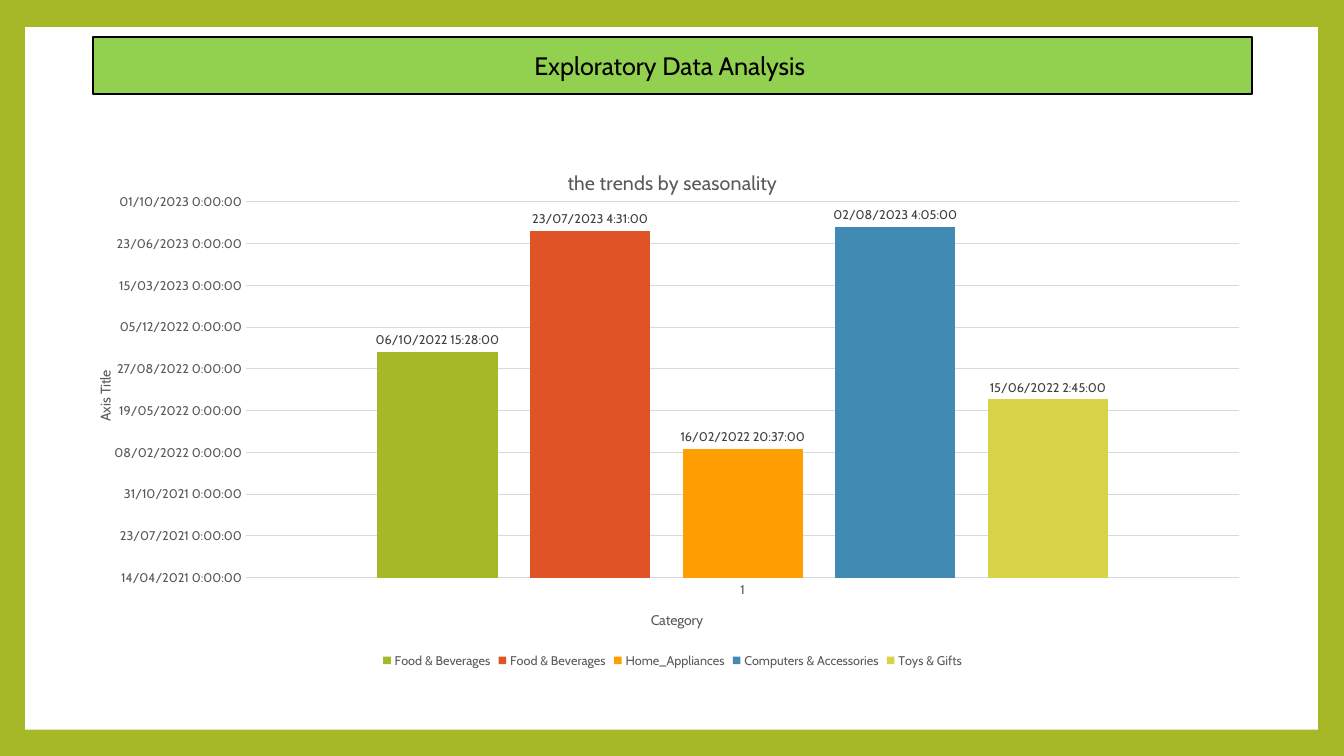
from pptx import Presentation
from pptx.chart.data import CategoryChartData
from pptx.dml.color import RGBColor
from pptx.enum import chart as ch, shapes, text
from pptx.oxml import parse_xml
from pptx.oxml.ns import nsdecls
from pptx.util import Inches, Pt

DATE_FORMAT = r"dd/mm/yyyy\ h:mm:ss"

# name, colour, date serial number, hour, minute
CATEGORIES = [
    ("Food & Beverages", "A6B727", 44840, 15, 28),
    ("Food & Beverages", "DF5327", 45130, 4, 31),
    ("Home_Appliances", "FE9E00", 44608, 20, 37),
    ("Computers & Accessories", "418AB3", 45140, 4, 5),
    ("Toys & Gifts", "D7D447", 44727, 2, 45),
]


def colour(value):
    return RGBColor.from_string(value)


def paint(target, value):
    target.fill.solid()
    target.fill.fore_color.rgb = colour(value)


def stroke(line, value, width):
    line.color.rgb = colour(value)
    line.width = Pt(width)


def write(frame, words, **style):
    """Put one line of text in a frame; style holds font, size and color."""
    para = frame.paragraphs[0]
    para.alignment = text.PP_ALIGN.CENTER
    span = para.add_run()
    span.text = words
    set_font(span.font, **style)


def set_font(font, size, color, name="Cabin"):
    font.name, font.size, font.bold = name, Pt(size), False
    font.color.rgb = colour(color)


class Slide:
    grey = "595959"
    grid = "D9D9D9"

    def __init__(self, deck):
        self.page = deck.slides.add_slide(deck.slide_layouts[5])
        paint(self.page.background, "A6B727")

    def panel(self, left, top, width, height):
        box = self.page.shapes.add_shape(
            shapes.MSO_SHAPE.RECTANGLE, *map(Inches, (left, top, width, height)))
        box.shadow.inherit = False
        paint(box, "FFFFFF")
        box.line.fill.background()

    def title(self, words, left, top, width, height):
        """Format the title placeholder as a rounded banner in front."""
        box = self.page.shapes.title
        box.left, box.top, box.width, box.height = map(
            Inches, (left, top, width, height))
        box.element.spPr.append(parse_xml(
            f'<a:prstGeom {nsdecls("a")} prst="roundRect"><a:avLst/></a:prstGeom>'))
        paint(box, "92D050")
        stroke(box.line, "000000", 1.5)
        box.text_frame.vertical_anchor = text.MSO_ANCHOR.MIDDLE
        write(box.text_frame, words, size=18, color="000000")
        box.element.getparent().append(box.element)

    def column_chart(self, heading, left, top, width, height):
        data = CategoryChartData(number_format=DATE_FORMAT)
        data.categories = ["1"]
        for name, _, day, hour, minute in CATEGORIES:
            data.add_series(name, [day + hour / 24 + minute / 1440])
        chart = self.page.shapes.add_chart(
            ch.XL_CHART_TYPE.COLUMN_CLUSTERED,
            *map(Inches, (left, top, width, height)), data).chart
        set_font(chart.font, 10, "000000")
        write(chart.chart_title.text_frame, heading, size=14, color=self.grey)
        chart.chart_title.include_in_layout = False
        chart.has_legend = True
        chart.legend.position = ch.XL_LEGEND_POSITION.BOTTOM
        chart.legend.include_in_layout = False
        set_font(chart.legend.font, 9, self.grey)

        self.axis(chart.category_axis, "Category")
        stroke(chart.category_axis.format.line, self.grid, 0.75)
        dates = chart.value_axis
        self.axis(dates, "Axis Title")
        dates.format.line.fill.background()
        stroke(dates.major_gridlines.format.line, self.grid, 0.75)
        dates.minimum_scale, dates.maximum_scale = 44300, 45200
        dates.major_unit = 100
        dates.tick_labels.number_format = DATE_FORMAT
        dates.tick_labels.number_format_is_linked = False

        self.columns(chart.plots[0])
        self.plot_area(chart, x=0.132, y=0.099, w=0.857, h=0.72)

    def axis(self, axis, words):
        axis.major_tick_mark = axis.minor_tick_mark = ch.XL_TICK_MARK.NONE
        set_font(axis.tick_labels.font, 9, self.grey)
        write(axis.axis_title.text_frame, words, size=10, color=self.grey)

    def columns(self, plot):
        plot.gap_width, plot.overlap = 219, -27
        plot.vary_by_categories = False
        for series, (_, fill, *_) in zip(plot.series, CATEGORIES):
            paint(series.format, fill)
            labels = series.data_labels
            labels.show_value = True
            labels.position = ch.XL_LABEL_POSITION.OUTSIDE_END
            labels.number_format = DATE_FORMAT
            labels.number_format_is_linked = False
            set_font(labels.font, 9, "404040")

    def plot_area(self, chart, **place):
        """Fix the inner plot area, in fractions of the chart."""
        area = chart.element.chart.plotArea
        for old in area.findall("{*}layout"):
            area.remove(old)
        modes = "".join(f'<c:{side}Mode val="edge"/>' for side in "xy")
        sizes = "".join(f'<c:{key} val="{part}"/>' for key, part in place.items())
        area.insert(0, parse_xml(
            f'<c:layout {nsdecls("c")}><c:manualLayout>'
            f'<c:layoutTarget val="inner"/>{modes}{sizes}'
            '</c:manualLayout></c:layout>'))


def main():
    deck = Presentation()
    deck.slide_width, deck.slide_height = Inches(13.33), Inches(7.5)
    slide = Slide(deck)
    slide.panel(0.25, 0.27, 12.82, 6.97)
    slide.column_chart("the trends by seasonality", 0.92, 1.49, 11.5, 5.18)
    slide.title("Exploratory Data Analysis ", 0.92, 0.37, 11.5, 0.56)
    deck.save("out.pptx")


if __name__ == "__main__":
    main()
